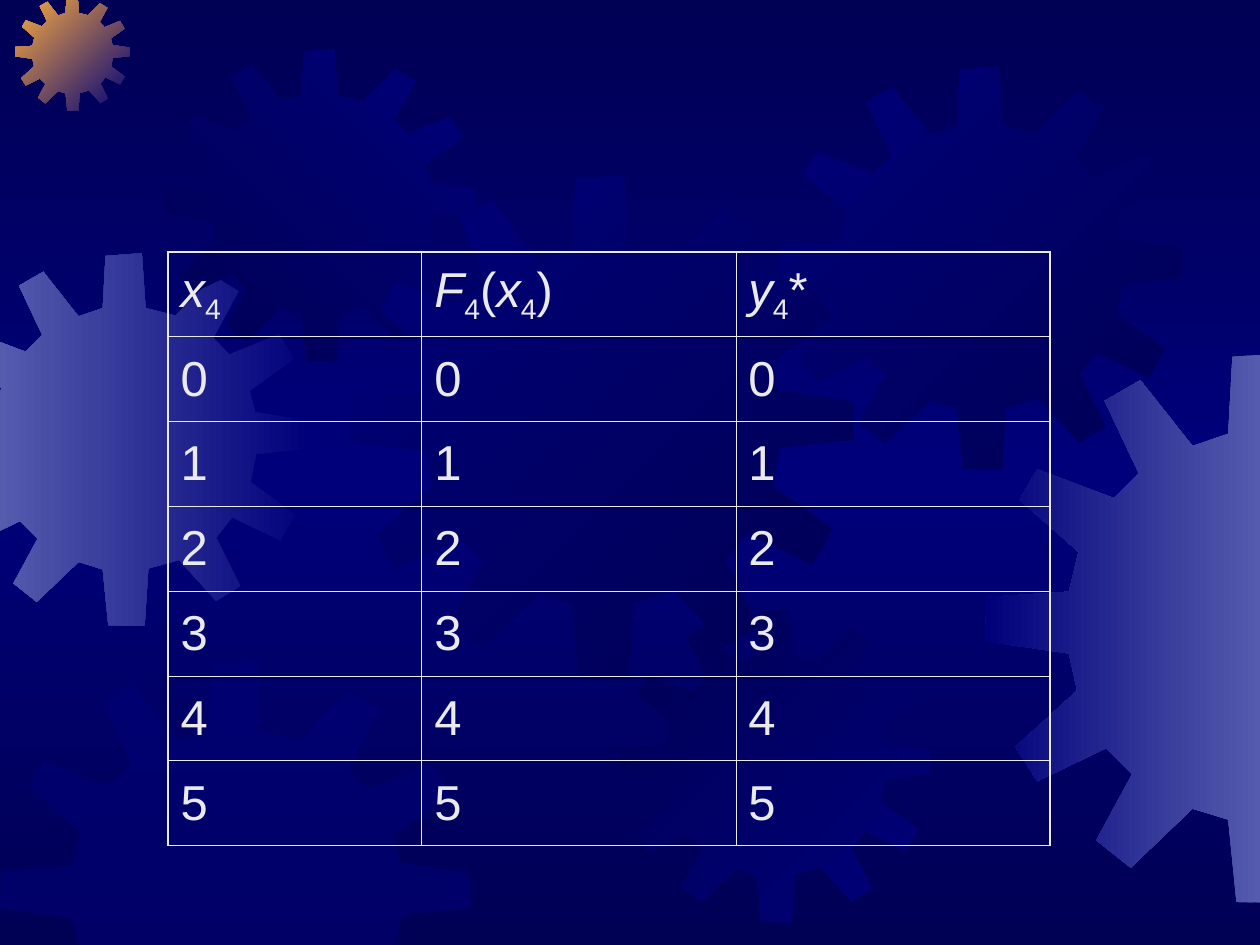
from copy import deepcopy
from dataclasses import dataclass
from typing import NamedTuple

from lxml import etree
from pptx import Presentation
from pptx.dml.color import RGBColor
from pptx.enum.text import MSO_ANCHOR
from pptx.oxml.ns import qn
from pptx.util import Pt

MIDDLE = MSO_ANCHOR.MIDDLE
PAGE_WIDTH, PAGE_HEIGHT = 720, 540
COLORS = {"night": "000054", "navy": "00007A", "steel": "555BAD",
          "orange": "FCAB40", "chalk": "EAEAEA"}
FONT_NAME = "Arial"
FONT_SIZE = 28
SUBSCRIPT = "-25000"
OUTER_LINE, INNER_LINE = 1.08, 0.45

GEAR_UNITS = 401
GEAR_OUTLINE = [
    (255, 67), (223, 59), (219, 0), (180, 3), (177, 59), (151, 68),
    (113, 20), (87, 35), (112, 88), (94, 106), (38, 85), (25, 107),
    (68, 145), (61, 174), (1, 178), (0, 210), (61, 219), (67, 246),
    (22, 287), (38, 312), (88, 288), (107, 307), (81, 355), (106, 375),
    (151, 332), (177, 340), (183, 400), (222, 401), (226, 339), (259, 330),
    (299, 374), (325, 358), (299, 306), (316, 284), (368, 309), (384, 281),
    (336, 246), (342, 216), (401, 210), (400, 180), (341, 171), (335, 148),
    (383, 114), (367, 87), (313, 109), (296, 91), (323, 41), (297, 25),
]


@dataclass
class Gear:
    left: float
    top: float
    size: float
    colors: tuple[str, ...]
    angle: int = 0


class Piece(NamedTuple):
    text: str
    italic: bool = False
    subscript: bool = False


GEARS = [
    Gear(-35.3, 144.7, 213.1, ("navy", "steel"), 180),
    Gear(8.6, -2.2, 65.5, ("navy", "orange"), 135),
    Gear(93.6, 28.1, 178.6, ("navy", "night"), 225),
    Gear(199.4, 100.1, 288.7, ("night", "navy"), 135),
    Gear(0, 378, 269.3, ("navy",)),
    Gear(353.5, 348.5, 178.6, ("navy", "night"), 135),
    Gear(445, 38.2, 230.4, ("night", "navy"), 135),
    Gear(563, 201.6, 314.6, ("steel", "navy"), 180),
]

FOUR = Piece("4", subscript=True)
HEADER = [
    [Piece("x", italic=True), FOUR],
    [Piece("F", italic=True), FOUR, Piece("("), Piece("x", italic=True), FOUR, Piece(")")],
    [Piece("y", italic=True), FOUR, Piece("*")],
]
ROWS = [HEADER] + [[[Piece(str(value))]] * len(HEADER) for value in range(6)]
COLUMN_WIDTHS = [145, 179.5, 179.5]
ROW_HEIGHT = 48.45
TABLE_LEFT, TABLE_TOP = 96, 144


def rgb(name: str) -> RGBColor:
    return RGBColor.from_string(COLORS[name])


def clip(points: list, axis: int, limit: float, sign: int) -> list:
    kept = []
    for start, end in zip(points[-1:] + points[:-1], points):
        start_gap = sign * (limit - start[axis])
        end_gap = sign * (limit - end[axis])
        if start_gap * end_gap < 0:
            share = start_gap / (start_gap - end_gap)
            kept.append(tuple(a + share * (b - a) for a, b in zip(start, end)))
        if end_gap >= 0:
            kept.append(end)
    return kept


def paint_gradient(fill, colors: tuple[str, ...], angle: int) -> None:
    fill.gradient_angle = angle
    for index, (stop, color) in enumerate(zip(fill.gradient_stops, colors)):
        stop.position = index / (len(colors) - 1)
        stop.color.rgb = rgb(color)


def paint_background(page) -> None:
    fill = page.background.fill
    fill.gradient()
    stops = next(page.element.iter(qn("a:gsLst")))
    stops.insert(1, deepcopy(stops[0]))
    paint_gradient(fill, ("night", "navy", "night"), 270)


def draw_gear(page, gear: Gear) -> None:
    scale = gear.size / GEAR_UNITS
    points = [(gear.left + x * scale, gear.top + y * scale) for x, y in GEAR_OUTLINE]
    for axis, limit in enumerate((PAGE_WIDTH, PAGE_HEIGHT)):
        points = clip(clip(points, axis, 0, -1), axis, limit, 1)
    corners = [(Pt(x), Pt(y)) for x, y in points]
    builder = page.shapes.build_freeform(*corners[0])
    builder.add_line_segments(corners[1:], close=True)
    shape = builder.convert_to_shape()
    shape.shadow.inherit = False
    shape.line.fill.background()
    if len(gear.colors) > 1:
        shape.fill.gradient()
        paint_gradient(shape.fill, gear.colors, gear.angle)
    else:
        shape.fill.solid()
        shape.fill.fore_color.rgb = rgb(gear.colors[0])
        color = shape.element.spPr.find(qn("a:solidFill"))[0]
        etree.SubElement(color, qn("a:alpha"), val="50000")


def draw_borders(cell, outer_sides: dict[str, bool]) -> None:
    properties = cell._tc.get_or_add_tcPr()
    for index, (side, is_outer) in enumerate(outer_sides.items()):
        width = Pt(OUTER_LINE if is_outer else INNER_LINE)
        line = etree.Element(qn(f"a:ln{side}"), w=str(int(width)))
        solid = etree.SubElement(line, qn("a:solidFill"))
        etree.SubElement(solid, qn("a:srgbClr"), val=COLORS["chalk"])
        properties.insert(index, line)


def write_pieces(cell, pieces: list[Piece]) -> None:
    cell.vertical_anchor = MIDDLE
    para = cell.text_frame.paragraphs[0]
    for piece in pieces:
        span = para.add_run()
        span.text = piece.text
        span.font.name = FONT_NAME
        span.font.size = Pt(FONT_SIZE)
        span.font.italic = piece.italic
        span.font.color.rgb = rgb("chalk")
        if piece.subscript:
            span.font._element.set("baseline", SUBSCRIPT)


def draw_table(page) -> None:
    last_row, last_column = len(ROWS) - 1, len(COLUMN_WIDTHS) - 1
    table = page.shapes.add_table(
        len(ROWS), len(COLUMN_WIDTHS), Pt(TABLE_LEFT), Pt(TABLE_TOP),
        Pt(sum(COLUMN_WIDTHS)), Pt(ROW_HEIGHT * len(ROWS))).table
    table.first_row = False
    table.horz_banding = False
    for column, width in zip(table.columns, COLUMN_WIDTHS):
        column.width = Pt(width)
    for row_index, row in enumerate(ROWS):
        table.rows[row_index].height = Pt(ROW_HEIGHT)
        for column_index, pieces in enumerate(row):
            cell = table.cell(row_index, column_index)
            cell.fill.background()
            write_pieces(cell, pieces)
            draw_borders(cell, {
                "L": column_index == 0, "R": column_index == last_column,
                "T": row_index == 0, "B": row_index == last_row})


def main() -> None:
    deck = Presentation()
    deck.slide_width, deck.slide_height = Pt(PAGE_WIDTH), Pt(PAGE_HEIGHT)
    page = deck.slides.add_slide(deck.slide_layouts[6])
    paint_background(page)
    for gear in GEARS:
        draw_gear(page, gear)
    draw_table(page)
    deck.save("out.pptx")


if __name__ == "__main__":
    main()
